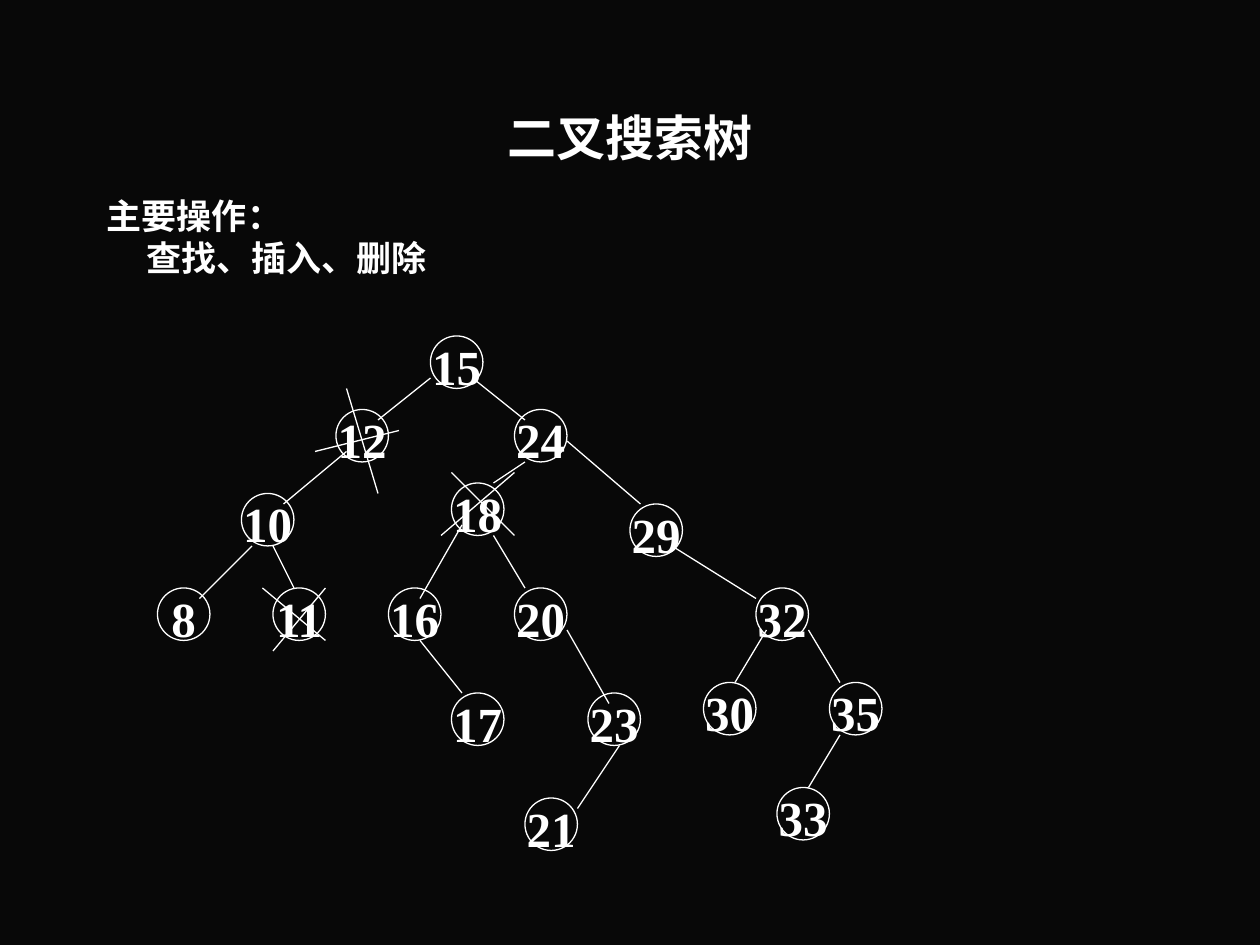
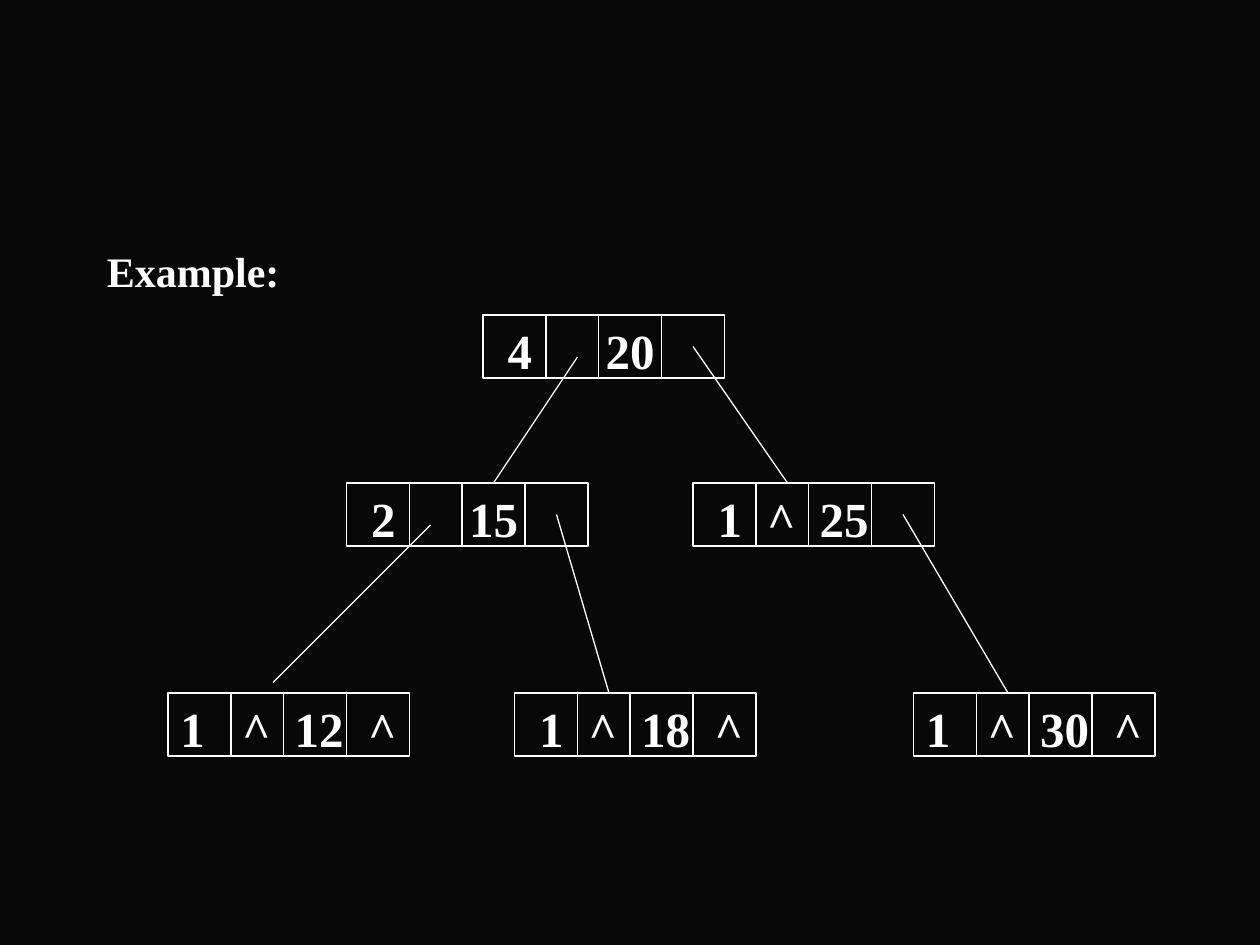
from lxml import etree
from pptx import Presentation
from pptx.dml.color import RGBColor
from pptx.enum.shapes import MSO_CONNECTOR, MSO_SHAPE
from pptx.enum.text import MSO_ANCHOR, PP_ALIGN
from pptx.oxml.ns import qn
from pptx.util import Pt

PX = 9525
WHITE = RGBColor(0xFF, 0xFF, 0xFF)
BLACK = RGBColor(0x08, 0x08, 0x08)
FONT = "Times New Roman"
LINE = MSO_CONNECTOR.STRAIGHT
OVAL, RECT = MSO_SHAPE.OVAL, MSO_SHAPE.RECTANGLE
MIDDLE, TOP = MSO_ANCHOR.MIDDLE, MSO_ANCHOR.TOP
CENTER, LEFT = PP_ALIGN.CENTER, PP_ALIGN.LEFT


def write(para, text, size, align=LEFT):
    para.alignment = align
    run = para.add_run()
    run.text = text
    font = run.font
    font.name, font.size, font.bold = FONT, Pt(size), True
    font.color.rgb = WHITE


def draw(slide, x1, y1, x2, y2):
    line = slide.shapes.add_connector(LINE, x1 * PX, y1 * PX, x2 * PX, y2 * PX)
    line.line.color.rgb = WHITE
    line.line.width = Pt(0.75)
    etree.SubElement(line._element.spPr, qn("a:effectLst"))


prs = Presentation()
prs.slide_width, prs.slide_height = 960 * PX, 720 * PX
fill = prs.slide_master.background.fill
fill.solid()
fill.fore_color.rgb = BLACK

tree = prs.slides.add_slide(prs.slide_layouts[5])
title = tree.shapes.title
title.left, title.top, title.width, title.height = 72 * PX, 64 * PX, 816 * PX, 80 * PX
title.text_frame.vertical_anchor = MIDDLE
write(title.text_frame.paragraphs[0], "二叉搜索树", 28, CENTER)

chain = prs.slides.add_slide(prs.slide_layouts[6])

bodies = [
    (tree, 144, 560, 10, 20, 0.8, [("主要操作：", 0), ("查找、插入、删除", 30)]),
    (chain, 168, 472, 19, 24, 1.0, [("Example:", 0)]),
]
for slide, top, high, pad, size, lead, rows in bodies:
    body = slide.shapes.add_textbox(72 * PX, top * PX, 816 * PX, high * PX)
    frame = body.text_frame
    frame.word_wrap = True
    frame.vertical_anchor = TOP
    frame.margin_top = pad * PX
    for i, (text, indent) in enumerate(rows):
        para = frame.add_paragraph() if i else frame.paragraphs[0]
        para.line_spacing = lead
        if i:
            para.space_before = Pt(5)
            para._p.get_or_add_pPr().set("marL", str(indent * PX))
        write(para, text, size)

nodes = [
    ("15", 328, 256), ("12", 256, 312), ("24", 392, 312), ("10", 184, 376),
    ("8", 120, 448), ("11", 208, 448), ("18", 344, 368), ("16", 296, 448),
    ("17", 344, 528), ("20", 392, 448), ("29", 480, 384), ("23", 448, 528),
    ("21", 400, 608), ("32", 576, 448), ("30", 536, 520), ("35", 632, 520),
    ("33", 592, 600),
]
cells = [
    (" 4\t20", 368, 240, [84]), (" 2\t15", 264, 368, [84]),
    (" 1\t^\t25", 528, 368, [47, 87]), (" 1\t^\t18\t^", 392, 528, [47, 87, 143]),
    ("1\t^\t12\t^", 128, 528, [47, 87, 143]), ("1\t^\t30\t^", 696, 528, [47, 87, 143]),
]
boxes = [(tree, OVAL, 40, 40, CENTER, text, x, y, []) for text, x, y in nodes]
boxes += [(chain, RECT, 184, 48, LEFT, text, x, y, tabs) for text, x, y, tabs in cells]
for slide, kind, wide, high, align, text, x, y, tabs in boxes:
    box = slide.shapes.add_shape(kind, x * PX, y * PX, wide * PX, high * PX)
    box.shadow.inherit = False
    box.fill.background()
    box.line.color.rgb = WHITE
    box.line.width = Pt(0.75)
    frame = box.text_frame
    frame.word_wrap = kind == RECT
    frame.vertical_anchor = MIDDLE
    frame.margin_top = 10 * PX
    para = frame.paragraphs[0]
    if tabs:
        stops = etree.SubElement(para._p.get_or_add_pPr(), qn("a:tabLst"))
        for pos in tabs:
            etree.SubElement(stops, qn("a:tab"), pos=str(pos * PX), algn="l")
    write(para, text, 28, align)

edges = [
    (328, 288, 288, 320), (264, 344, 216, 384), (192, 416, 152, 456),
    (208, 416, 224, 448), (360, 288, 400, 320), (400, 352, 376, 368),
    (352, 400, 320, 456), (320, 488, 352, 528), (432, 336, 488, 384),
    (512, 416, 576, 456), (616, 480, 640, 520), (376, 408, 400, 448),
    (432, 480, 464, 536), (472, 568, 440, 616), (584, 480, 560, 520),
    (640, 560, 616, 600),
]
strikes = [
    (248, 448, 208, 496), (200, 448, 248, 488), (304, 328, 240, 344),
    (264, 296, 288, 376), (392, 360, 336, 408), (344, 360, 392, 408),
]
for ends in edges + strikes:
    draw(tree, *ends)

for text, x, y, tabs in cells:
    for step in (48, 88, 136):
        draw(chain, x + step, y, x + step, y + 48)
links = [
    (440, 272, 376, 368), (528, 264, 600, 368), (328, 400, 208, 520),
    (424, 392, 464, 528), (688, 392, 768, 528),
]
for ends in links:
    draw(chain, *ends)

prs.save("out.pptx")
